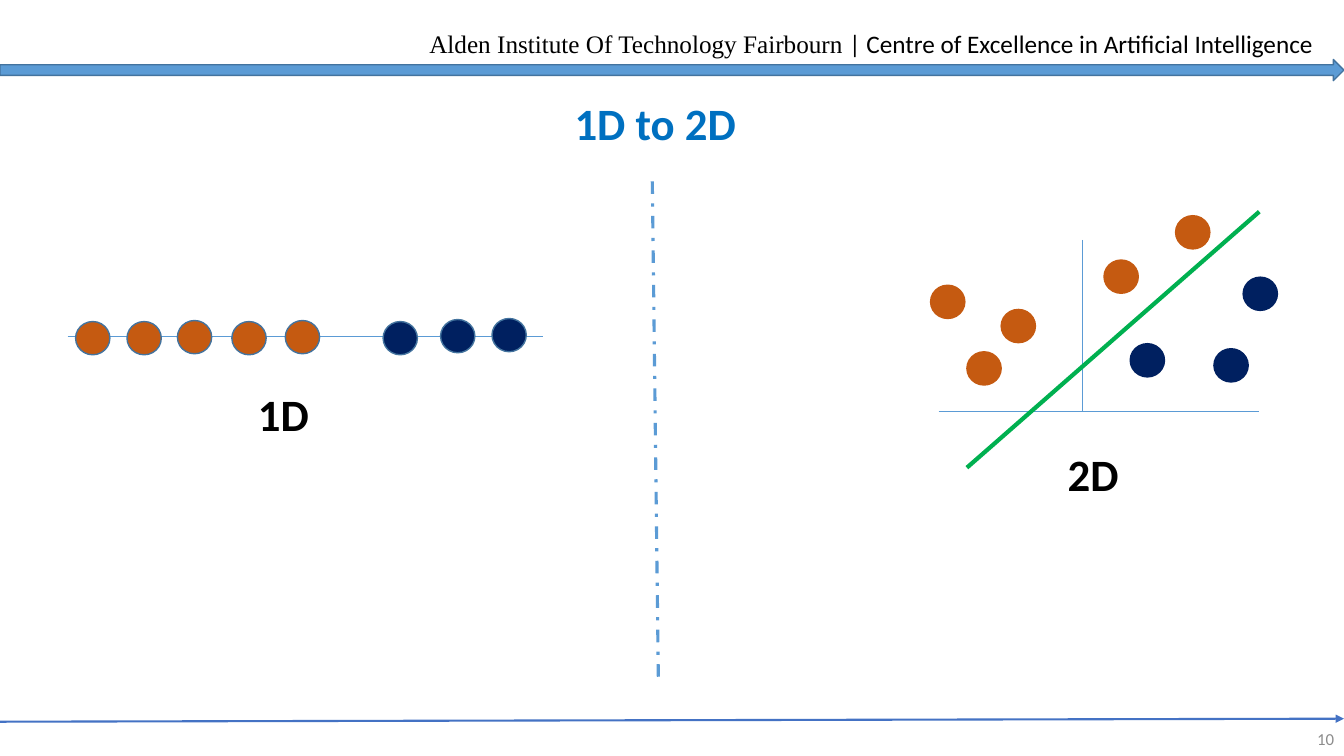
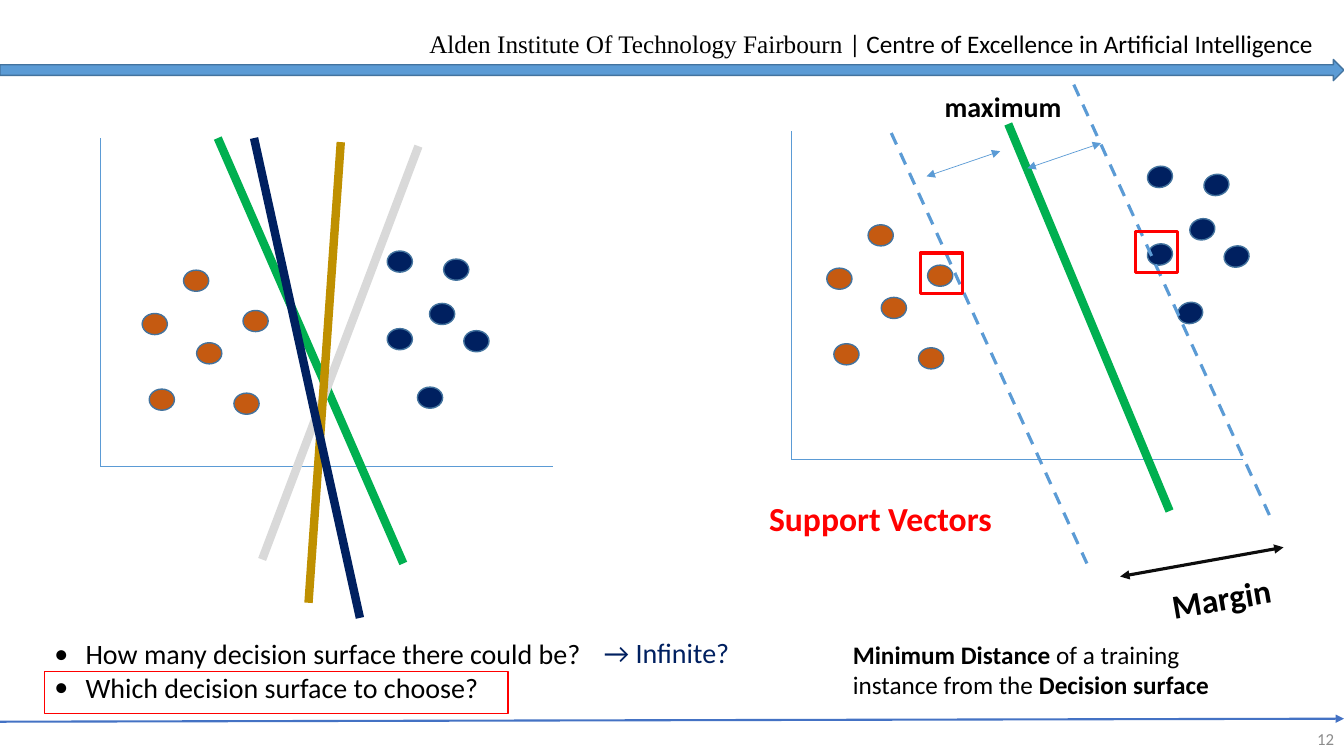
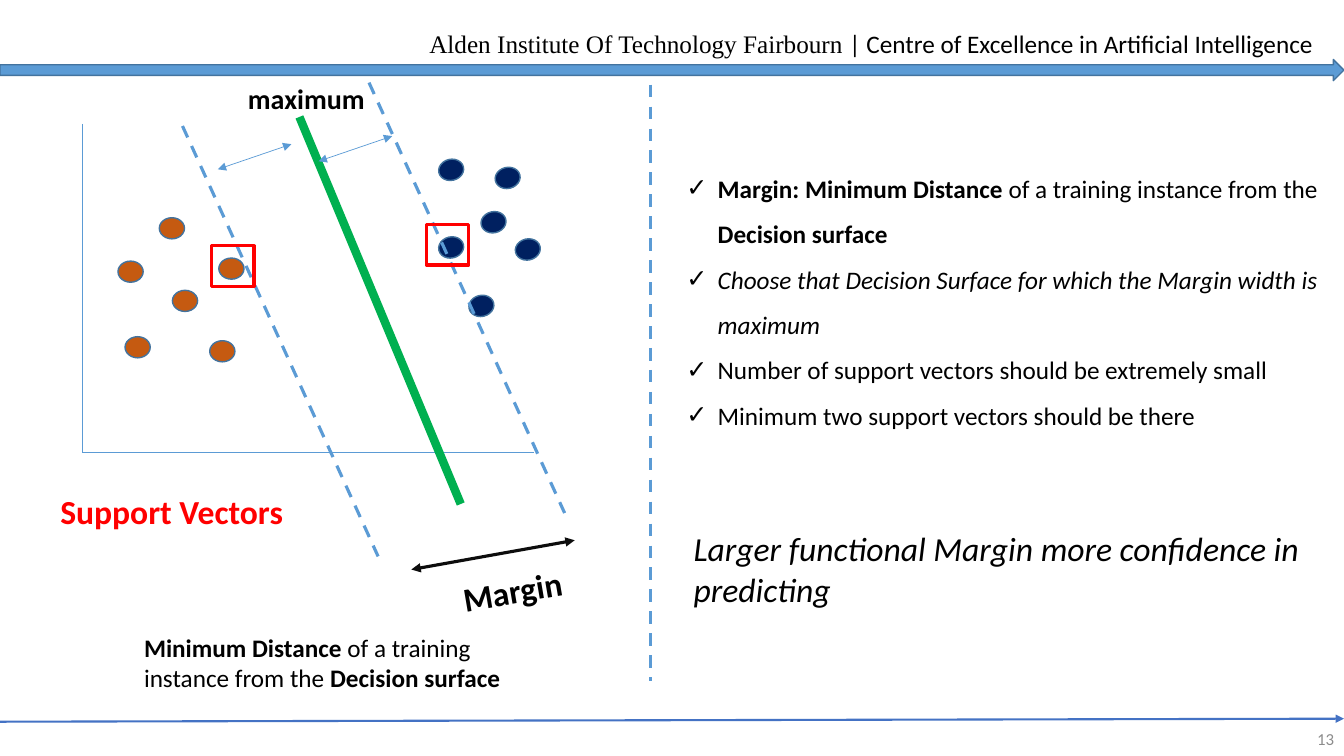
"""Build three slides on decision surfaces and margins."""
from dataclasses import dataclass, replace

from lxml import etree
from pptx import Presentation
from pptx.dml.color import RGBColor
from pptx.enum.dml import MSO_LINE
from pptx.enum.shapes import MSO_CONNECTOR, MSO_SHAPE
from pptx.enum.text import MSO_ANCHOR, MSO_AUTO_SIZE, PP_ALIGN
from pptx.oxml.ns import qn
from pptx.util import Inches, Pt

OVAL, RECTANGLE, ARROW = MSO_SHAPE.OVAL, MSO_SHAPE.RECTANGLE, MSO_SHAPE.RIGHT_ARROW
STRAIGHT = MSO_CONNECTOR.STRAIGHT
DASH, DASH_DOT = MSO_LINE.DASH, MSO_LINE.DASH_DOT
RIGHT, MIDDLE = PP_ALIGN.RIGHT, MSO_ANCHOR.MIDDLE
FIT, FIXED = MSO_AUTO_SIZE.SHAPE_TO_FIT_TEXT, MSO_AUTO_SIZE.NONE

SLIDE_WIDTH, SLIDE_HEIGHT = Inches(13.33), Inches(7.5)
COLUMNS, ROWS = 13.33, 7.5
COLUMN, ROW = SLIDE_WIDTH / COLUMNS, SLIDE_HEIGHT / ROWS


@dataclass(frozen=True)
class Theme:
    """Colours, fonts, type sizes and line weights of the deck."""
    black: str = "000000"
    white: str = "FFFFFF"
    blue: str = "5B9BD5"
    edge: str = "43739E"
    footer: str = "4472C4"
    grey: str = "8C8C8C"
    pale: str = "D9D9D9"
    title: str = "0070C0"
    warm: str = "C55A11"
    cool: str = "002060"
    green: str = "00B050"
    gold: str = "BF9000"
    red: str = "FF0000"
    ink: str = "0D0D0D"
    sans: str = "Calibri"
    serif: str = "Times New Roman"
    huge: int = 32
    large: int = 24
    medium: int = 20
    normal: int = 18
    small: int = 12
    hair: float = 0.5
    thin: float = 1
    rule: float = 1.5
    strong: float = 2.25
    border: float = 3
    surface: float = 6


THEME = Theme()


@dataclass(frozen=True)
class Style:
    """Look of one span of text."""
    size: int = THEME.normal
    colour: str = THEME.black
    bold: bool = False
    italic: bool = False
    font: str = THEME.sans


BODY = Style()
STRONG = replace(BODY, bold=True)
HEADING = Style(THEME.huge, bold=True)
LABEL = Style(THEME.large, bold=True)


@dataclass(frozen=True)
class Box:
    """Area of the slide, in grid columns and rows."""
    left: float
    top: float
    width: float = 0
    height: float = 0

    def inner(self, left, top, width=0, height=0):
        """Return a box placed relative to this one."""
        return Box(self.left + left, self.top + top, width, height)

    def point(self, position):
        """Return the slide coordinates of a position in this box."""
        return (round((self.left + position[0]) * COLUMN),
                round((self.top + position[1]) * ROW))

    def frame(self):
        """Return left, top, width and height in slide units."""
        return (*self.point((0, 0)), round(self.width * COLUMN), round(self.height * ROW))


FULL = Box(0, 0, COLUMNS, ROWS)
DOT, SMALL_DOT = (0.34, 0.33), (0.25, 0.21)
WARM_CLUSTER = [(0, 0.43), (0.54, 0.72), (0.07, 1.18), (0.41, 0), (0.91, 1.22), (1, 0.4)]
COOL_CLUSTER = [(0, 0), (0.56, 0.08), (0.76, 0.79), (0, 0.77), (0.42, 0.52), (0.3, 1.35)]
DISTANCE = [("Minimum Distance", STRONG), (" of a training instance from the ", BODY),
            ("Decision surface", STRONG)]


def add_figure(page, kind, box, fill, outline, weight=THEME.thin, turn=0):
    """Add a preset shape with a fill or none."""
    figure = page.shapes.add_shape(kind, *box.frame())
    figure.shadow.inherit = False
    if fill:
        figure.fill.solid()
        figure.fill.fore_color.rgb = RGBColor.from_string(fill)
    else:
        figure.fill.background()
    figure.line.color.rgb = RGBColor.from_string(outline)
    figure.line.width = Pt(weight)
    figure.rotation = turn


def add_line(page, box, start, end, colour=THEME.blue, weight=THEME.hair, dash=None, heads=()):
    """Add a straight line with the named arrow ends."""
    line = page.shapes.add_connector(STRAIGHT, *box.point(start), *box.point(end))
    line.line.color.rgb = RGBColor.from_string(colour)
    line.line.width = Pt(weight)
    if dash:
        line.line.dash_style = dash
    properties = line._element.spPr
    for head in heads:
        etree.SubElement(properties.find(qn("a:ln")), qn(f"a:{head}"), type="triangle")
    etree.SubElement(properties, qn("a:effectLst"))


BOTH_ENDS = ("headEnd", "tailEnd")


def add_text(page, box, paras, wrap=True, turn=0, bullet=None, spacing=None,
             align=None, anchor=None):
    """Add a text box from paragraphs of (text, style) spans."""
    shape = page.shapes.add_textbox(*box.frame())
    shape.rotation = turn
    frame = shape.text_frame
    frame.word_wrap = wrap
    frame.auto_size = FIXED if anchor else FIT
    if anchor:
        frame.vertical_anchor = anchor
    for index, spans in enumerate(paras):
        para = frame.add_paragraph() if index else frame.paragraphs[0]
        if align:
            para.alignment = align
        if spacing:
            para.line_spacing = spacing
        if bullet:
            properties = para._p.get_or_add_pPr()
            indent = Inches(0.31)
            properties.set("marL", str(indent))
            properties.set("indent", str(-indent))
            etree.SubElement(properties, qn("a:buFont"), typeface=THEME.sans)
            etree.SubElement(properties, qn("a:buChar"), char=bullet)
        for text, style in spans:
            span = para.add_run()
            span.text = text
            span.font.name = style.font
            span.font.size = Pt(style.size)
            span.font.bold = style.bold
            span.font.italic = style.italic
            span.font.color.rgb = RGBColor.from_string(style.colour)


def add_label(page, box, text, style, wrap=False, turn=0):
    """Add a text box with one span."""
    add_text(page, box, [[(text, style)]], wrap, turn)


def add_dots(page, box, places, size, fill, outline=THEME.edge, turn=0):
    """Add equal dots at places in the box."""
    for place in places:
        add_figure(page, OVAL, box.inner(*place, *size), fill, outline, turn=turn)


def add_axes(page, box):
    """Draw the left and bottom edges of the box."""
    corner = (0, box.height)
    add_line(page, box, corner, (box.width, box.height))
    add_line(page, box, (0, 0), corner)


def add_page(deck, number):
    """Add a blank page with the header band, footer line and number."""
    page = deck.slides.add_slide(deck.slide_layouts[6])
    page.background.fill.solid()
    page.background.fill.fore_color.rgb = RGBColor.from_string(THEME.white)
    add_text(page, FULL.inner(4.16, 0.23, 9.17, 0.4), [[
        ("Alden Institute Of Technology Fairbourn ", replace(BODY, font=THEME.serif)),
        ("| Centre of Excellence in Artificial Intelligence", BODY)]], wrap=False)
    add_figure(page, ARROW, FULL.inner(0, 0.59, COLUMNS, 0.21), THEME.blue, THEME.edge)
    add_line(page, FULL, (0, 7.16), (COLUMNS, 7.13), THEME.footer, THEME.rule,
             heads=("tailEnd",))
    add_text(page, FULL.inner(10.33, 7.13, 3, 0.4),
             [[(str(number), Style(THEME.small, THEME.grey))]], align=RIGHT, anchor=MIDDLE)
    return page


def draw_one_dimension(page, box):
    """Draw two classes of dots along one axis."""
    add_line(page, box, (0, 0.16), (box.width, 0.16))
    add_dots(page, box, [(0.08, 0.01), (0.59, 0.01), (1.09, 0), (1.63, 0.01), (2.16, 0)],
             DOT, THEME.warm)
    add_dots(page, box, [(3.13, 0.01), (3.7, -0.01), (4.21, -0.02)], DOT, THEME.cool)
    add_label(page, box.inner(1.79, 0.61, 0.71, 0.64), "1D", HEADING)


def draw_two_dimensions(page, box):
    """Draw two classes of dots in a plane, split by a line."""
    add_line(page, box, (0, box.height), (box.width, box.height))
    add_line(page, box, (1.43, 0), (1.43, box.height))
    add_line(page, box, (box.width, -0.28), (0.28, 2.26), THEME.green, THEME.border)
    add_dots(page, box, [(-0.08, 0.45), (0.62, 0.69), (0.28, 1.11), (1.64, 0.2), (2.35, -0.24)],
             DOT, THEME.warm, THEME.warm)
    add_dots(page, box, [(1.9, 1.03), (3.02, 0.37), (2.73, 1.08)], DOT, THEME.cool, THEME.cool)
    add_label(page, box.inner(1.18, 2, 0.71, 0.64), "2D", HEADING)


def draw_surfaces(page, box):
    """Draw two clusters with several possible decision surfaces."""
    add_axes(page, box)
    add_dots(page, box.inner(0.41, 1.31), WARM_CLUSTER, SMALL_DOT, THEME.warm)
    add_dots(page, box.inner(2.84, 1.12), COOL_CLUSTER, SMALL_DOT, THEME.cool)
    for start, end, colour in [((1.16, 0), (3, 4.22), THEME.green),
                               ((3.15, 0.08), (1.6, 4.18), THEME.pale),
                               ((2.38, 0.04), (2.06, 4.61), THEME.gold),
                               ((1.52, 0), (2.57, 4.76), THEME.cool)]:
        add_line(page, box, start, end, colour, THEME.surface)


def draw_margin(page, box, far_edge, caption):
    """Draw the widest margin, its support vectors and its labels."""
    add_axes(page, box)
    add_dots(page, box.inner(0.35, 0.93), WARM_CLUSTER, SMALL_DOT, THEME.warm)
    add_dots(page, box.inner(3.53, 0.35), COOL_CLUSTER, SMALL_DOT, THEME.cool, turn=346.7)
    add_line(page, box, (2.15, -0.07), (3.75, 3.77), THEME.green, THEME.surface)
    for left, top in [(0.99, 0.02), far_edge]:
        add_line(page, box, (left, top), (left + 1.94, top + 4.27), THEME.blue,
                 THEME.strong, DASH)
    for left, top in [(1.34, 0.45), (2.34, 0.37)]:
        add_line(page, box, (left, top), (left + 0.73, top - 0.25), heads=BOTH_ENDS)
    add_line(page, box, (3.26, 4.42), (4.88, 4.13), THEME.ink, THEME.strong, heads=BOTH_ENDS)
    for place in [(1.28, 1.21), (3.41, 1)]:
        add_figure(page, RECTANGLE, box.inner(*place, 0.42, 0.4), None, THEME.red, THEME.strong)
    add_label(page, box.inner(3.67, 4.38, 1.2, 0.5), "Margin", LABEL, turn=350.3)
    add_label(page, box.inner(-0.32, 3.59, 2.43, 0.5), "Support Vectors",
              replace(LABEL, colour=THEME.red))
    add_label(page, box.inner(*caption, 1.61, 0.44), "maximum",
              Style(THEME.medium, bold=True), wrap=True)
    add_text(page, box.inner(0.51, 4.99, 3.98, 0.71), [DISTANCE])


def write_questions(page, box):
    """Write the two questions, the answer and the frame on the second."""
    style = Style(THEME.medium)
    questions = ["How many decision surface there could be?", "Which decision surface to choose?"]
    add_text(page, box, [[(text, style)] for text in questions], bullet="•")
    add_label(page, box.inner(5.45, -0.01, 1.48, 0.44), "→ Infinite?",
              replace(style, colour=THEME.cool))
    add_figure(page, RECTANGLE, box.inner(0, 0.39, 4.6, 0.42), None, THEME.red)


def write_rules(page, box):
    """Write the checked rules and the conclusion."""
    rules = [
        [("Margin: Minimum Distance", STRONG), *DISTANCE[1:]],
        [("Choose that Decision Surface for which the Margin width is maximum",
          replace(BODY, italic=True))],
        [("Number of support vectors should be extremely small", BODY)],
        [("Minimum two support vectors should be there", BODY)],
    ]
    add_text(page, box, rules, bullet="✓", spacing=1.5)
    add_label(page, box.inner(0.07, 3.67, 6.72, 0.91),
              "Larger functional Margin more confidence in predicting",
              Style(THEME.large, italic=True), wrap=True)


def build_dimensions(deck):
    """Build the page that compares one and two dimensions."""
    page = add_page(deck, 10)
    draw_one_dimension(page, FULL.inner(0.67, 3.18, 4.72, 0.33))
    draw_two_dimensions(page, FULL.inner(9.31, 2.38, 3.18, 1.7))
    add_label(page, FULL.inner(5.6, 0.9, 1.82, 0.64), "1D to 2D",
              replace(HEADING, colour=THEME.title))
    add_line(page, FULL, (6.47, 1.8), (6.53, 6.76), THEME.blue, THEME.strong, DASH_DOT)


def build_choice(deck):
    """Build the page that asks which surface to choose."""
    page = add_page(deck, 12)
    draw_surfaces(page, FULL.inner(1, 1.37, 4.48, 3.26))
    write_questions(page, FULL.inner(0.44, 6.27, 5.47, 0.77))
    draw_margin(page, FULL.inner(7.85, 1.3, 4.48, 3.26), (2.8, -0.46), (1.42, -0.46))


def build_margin(deck):
    """Build the page that explains the margin."""
    page = add_page(deck, 13)
    draw_margin(page, FULL.inner(0.82, 1.23, 4.48, 3.26), (2.84, -0.41), (1.54, -0.47))
    add_line(page, FULL, (6.45, 0.84), (6.45, 6.76), THEME.blue, THEME.strong, DASH)
    write_rules(page, FULL.inner(6.71, 1.52, 6.69, 2.78))


def main():
    """Build and save the deck."""
    deck = Presentation()
    deck.slide_width, deck.slide_height = SLIDE_WIDTH, SLIDE_HEIGHT
    for build in (build_dimensions, build_choice, build_margin):
        build(deck)
    deck.save("out.pptx")


main()
